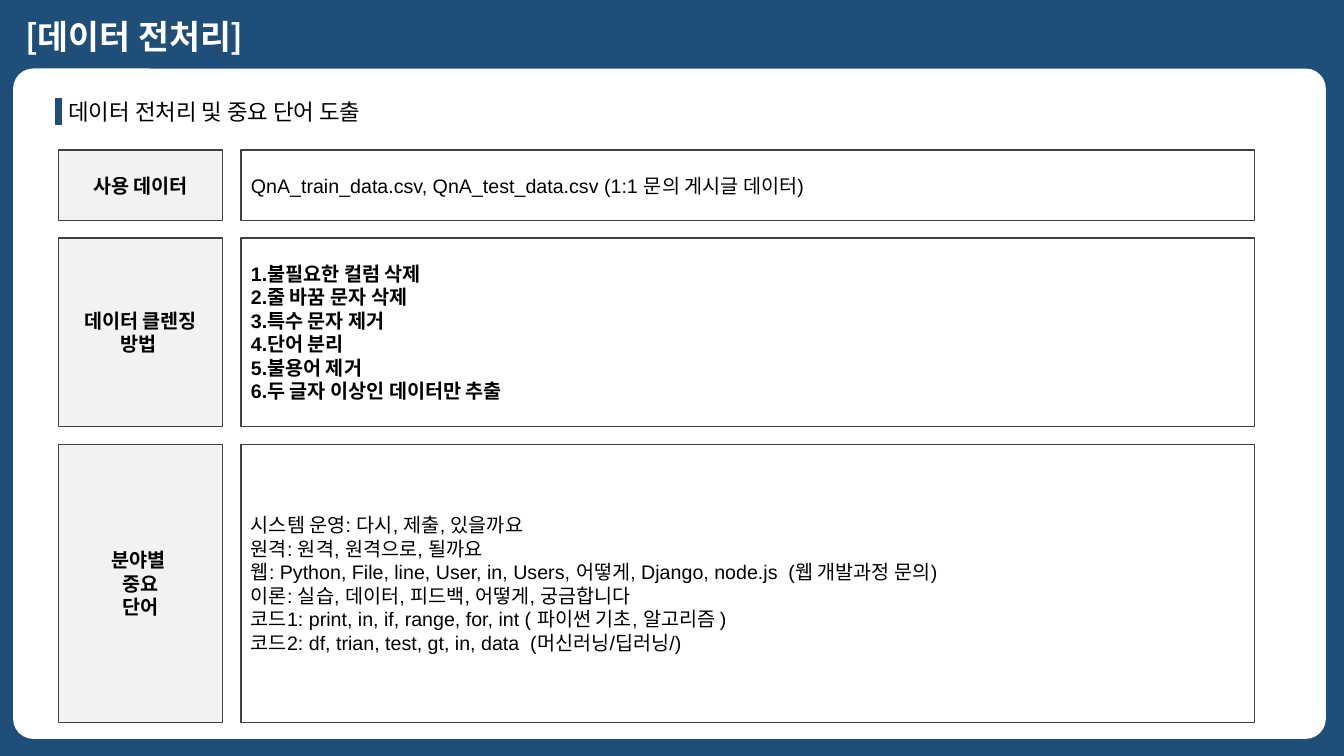
from pptx import Presentation
from pptx import util as u
from pptx.dml.color import RGBColor
from pptx.enum import shapes, text
from pptx.oxml.ns import qn
from lxml import etree

PX = 9144
NAVY, WHITE, BLACK, GREY, BORDER = "1F4E79", "FFFFFF", "000000", "F2F2F2", "404040"
HANGUL = "Noto Sans CJK KR"
LABEL_X, LABEL_W = 58, 163
DETAIL_X, DETAIL_W = 239, 1005

SECTIONS = [
    (149, 70, ["사용 데이터"],
     ["QnA_train_data.csv, QnA_test_data.csv (1:1 문의 게시글 데이터)"], False),
    (236, 187, ["데이터 클렌징", "방법 "],
     ["1.불필요한 컬럼 삭제", "2.줄 바꿈 문자 삭제", "3.특수 문자 제거",
      "4.단어 분리", "5.불용어 제거", "6.두 글자 이상인 데이터만 추출"], True),
    (441, 276, ["분야별 ", "중요", "단어"],
     ["시스템 운영: 다시, 제출, 있을까요",
      "원격: 원격, 원격으로, 될까요",
      "웹: Python, File, line, User, in, Users, 어떻게, Django, node.js  (웹 개발과정 문의)",
      "이론: 실습, 데이터, 피드백, 어떻게, 궁금합니다",
      "코드1: print, in, if, range, for, int ( 파이썬 기초, 알고리즘 )",
      "코드2: df, trian, test, gt, in, data  (머신러닝/딥러닝/)"], False),
]


def color(value):
    """Return the colour for a hex string."""
    return RGBColor.from_string(value)


def box(slide, area, fill, border=None, radius=None):
    """Add a filled rectangle, rounded when a radius is given."""
    kind = shapes.MSO_SHAPE.RECTANGLE if radius is None else shapes.MSO_SHAPE.ROUNDED_RECTANGLE
    panel = slide.shapes.add_shape(kind, *(side * PX for side in area))
    panel.shadow.inherit = False
    panel.fill.solid()
    panel.fill.fore_color.rgb = color(fill)
    if radius is not None:
        panel.adjustments[0] = radius
    if border:
        panel.line.color.rgb = color(border)
        panel.line.width = u.Pt(1)
    else:
        panel.line.fill.background()
    return panel


def write(holder, lines, size=14, ink=BLACK, bold=False, font="Arial",
          align=text.PP_ALIGN.LEFT, anchor=text.MSO_ANCHOR.MIDDLE):
    """Fill a shape with one paragraph per line."""
    frame = holder.text_frame
    frame.word_wrap = True
    frame.vertical_anchor = anchor
    for index, line in enumerate(lines):
        paragraph = frame.paragraphs[0] if index == 0 else frame.add_paragraph()
        paragraph.alignment = align
        run = paragraph.add_run()
        run.text = line
        run.font.size = u.Pt(size)
        run.font.bold = bold
        run.font.name = font
        run.font.color.rgb = color(ink)
        etree.SubElement(run.font._element, qn("a:ea"), typeface=HANGUL)


def caption(slide, area, line, **style):
    """Add a text box holding one line."""
    write(slide.shapes.add_textbox(*(side * PX for side in area)), [line], **style)


def accent(slide, x, top, bottom):
    """Add the thick vertical bar beside the subtitle."""
    bar = slide.shapes.add_connector(
        shapes.MSO_CONNECTOR.STRAIGHT, x * PX, top * PX, x * PX, bottom * PX)
    bar.line.color.rgb = color(NAVY)
    bar.line.width = u.Pt(4.5)
    etree.SubElement(bar._element.spPr, qn("a:effectLst"))


def section(slide, top, height, label, details, bold):
    """Add a grey label box and its detail box."""
    write(box(slide, (LABEL_X, top, LABEL_W, height), GREY, BORDER),
          label, bold=True, align=text.PP_ALIGN.CENTER)
    write(box(slide, (DETAIL_X, top, DETAIL_W, height), WHITE, BORDER), details, bold=bold)


def main():
    """Build and save the slide."""
    deck = Presentation()
    deck.slide_width, deck.slide_height = 1333 * PX, 750 * PX
    slide = deck.slides.add_slide(deck.slide_layouts[6])
    box(slide, (0, 0, 1333, 750), NAVY)
    box(slide, (13, 68, 1302, 665), WHITE, radius=0.03)
    caption(slide, (15, 11, 759, 50), "[데이터 전처리]", size=24, ink=WHITE,
            bold=True, font=HANGUL, anchor=text.MSO_ANCHOR.TOP)
    caption(slide, (58, 94, 951, 34), "데이터 전처리 및 중요 단어 도출", size=16)
    accent(slide, LABEL_X, 97, 124)
    for row in SECTIONS:
        section(slide, *row)
    deck.save("out.pptx")


if __name__ == "__main__":
    main()
